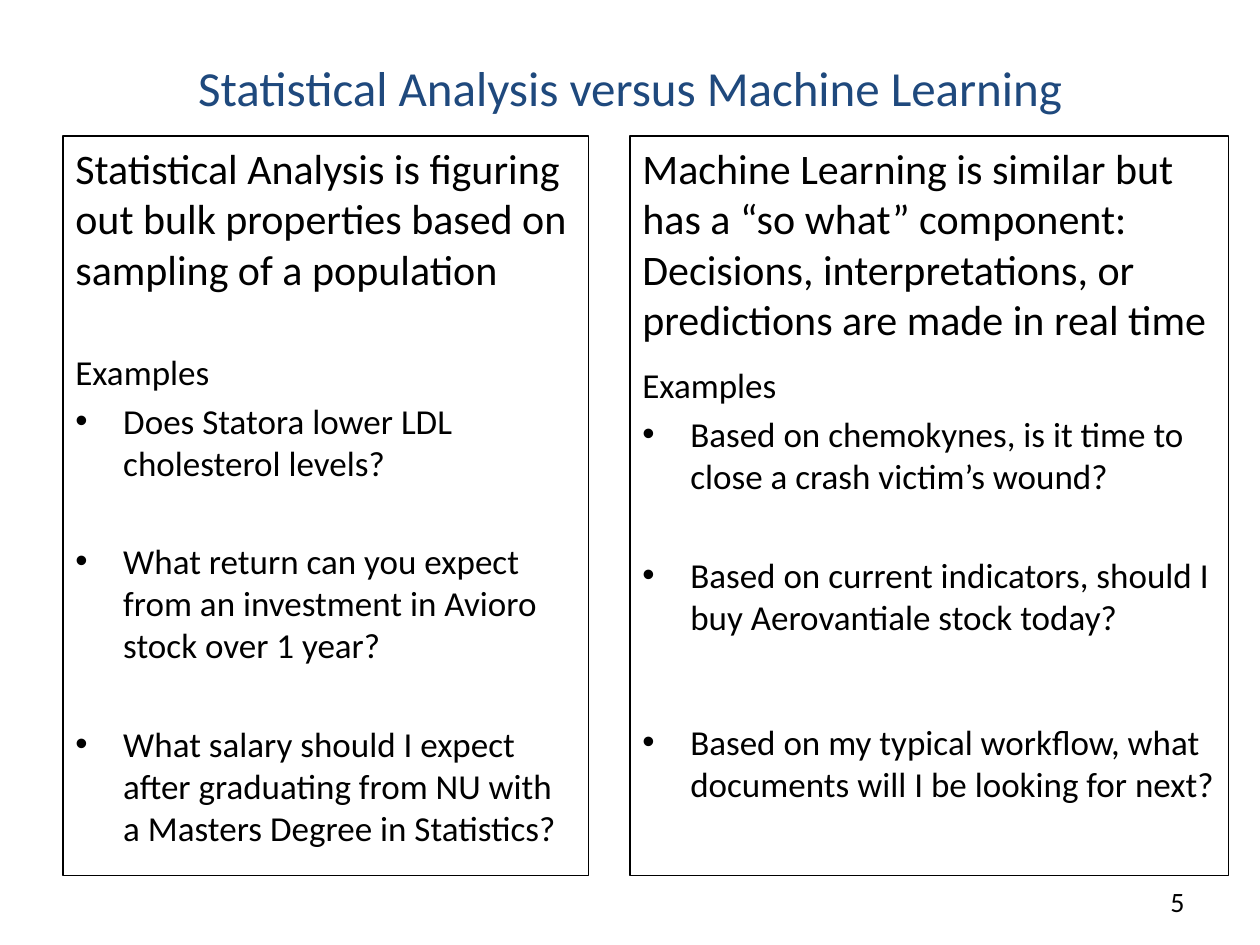
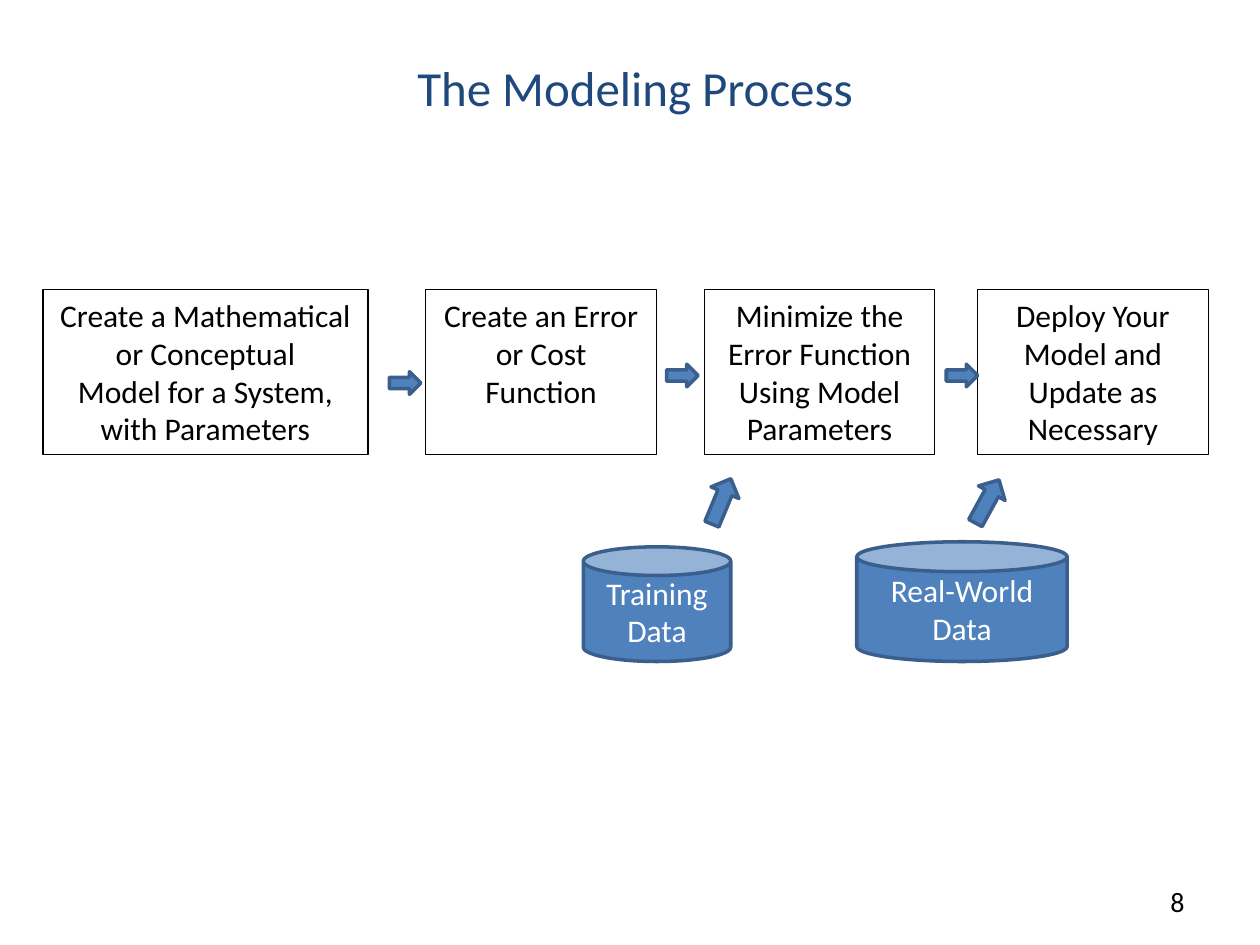
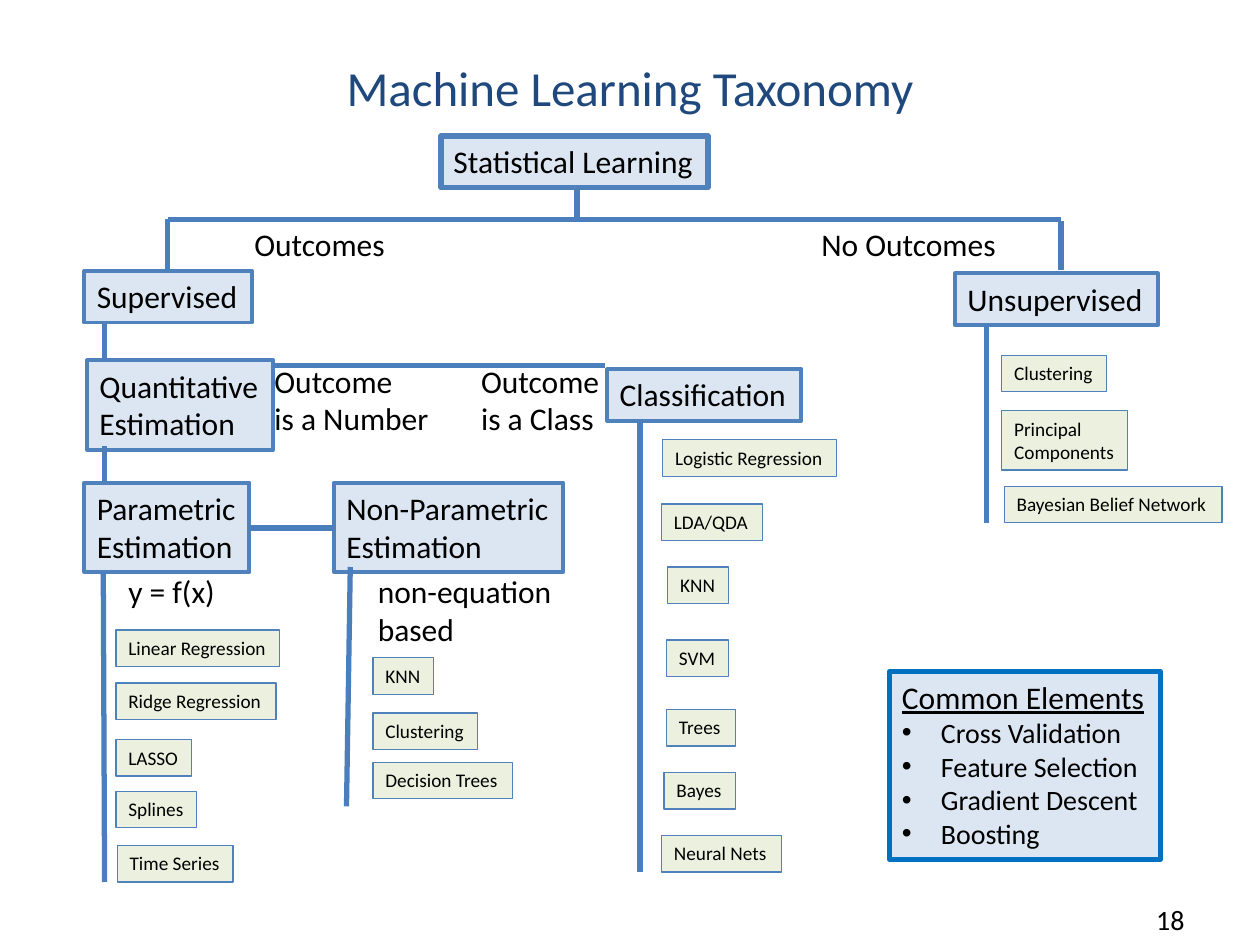
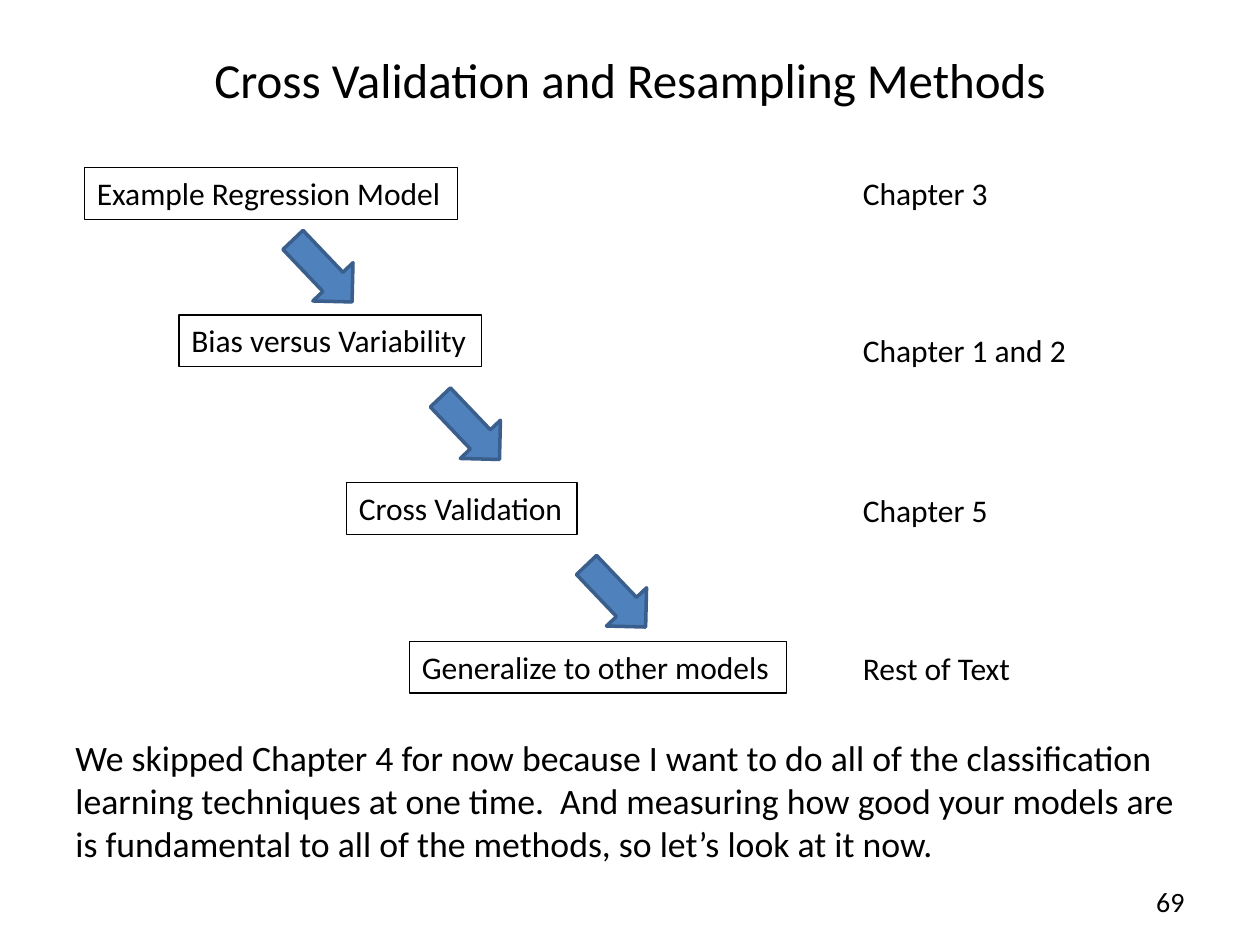
from dataclasses import dataclass

from lxml import etree
from pptx import Presentation
from pptx import util as u
from pptx.dml.color import RGBColor
from pptx.enum import shapes, text
from pptx.oxml.ns import qn

FONT = "Calibri"
BLACK = RGBColor(0x00, 0x00, 0x00)
WHITE = RGBColor(0xFF, 0xFF, 0xFF)
NAVY = RGBColor(0x1F, 0x49, 0x7D)
BLUE = RGBColor(0x4F, 0x81, 0xBD)
DARK_BLUE = RGBColor(0x3A, 0x5F, 0x8C)
BRANCH_BLUE = RGBColor(0x4B, 0x7E, 0xBC)
BRIGHT_BLUE = RGBColor(0x00, 0x70, 0xC0)
PALE_BLUE = RGBColor(0xDC, 0xE6, 0xF2)
PALE_GREEN = RGBColor(0xEB, 0xF1, 0xDE)

COLUMNS, ROWS = 10, 7.5
CELL = u.Inches(1)
LINE_HEIGHT = 1.22

LEFT, CENTER, RIGHT = text.PP_ALIGN.LEFT, text.PP_ALIGN.CENTER, text.PP_ALIGN.RIGHT
TOP, MIDDLE = text.MSO_ANCHOR.TOP, text.MSO_ANCHOR.MIDDLE
KIND = shapes.MSO_SHAPE


@dataclass
class Line:
    """One paragraph: its words, size, space before and hanging bullet."""
    words: str
    size: float = 18
    gap: float = 0
    hang: float = 0
    underline: bool = False


def grid(*cells):
    """Turn grid cells into slide lengths."""
    return [round(cell * CELL) for cell in cells]


def lines_of(words, size=18):
    """Make one paragraph for each row of words."""
    return [Line(row, size) for row in words.split("\n")]


def fitted_height(lines):
    """Return the rows that single-line paragraphs and their margins take."""
    return round(sum(line.size for line in lines) * LINE_HEIGHT / 72 + 0.1, 2)


def hang_bullet(para, hang):
    """Give a paragraph a bullet with a hanging indent."""
    props = para._p.get_or_add_pPr()
    props.set("marL", str(round(hang * CELL)))
    props.set("indent", str(-round(hang * CELL)))
    etree.SubElement(props, qn("a:buFont")).set("typeface", "Arial")
    etree.SubElement(props, qn("a:buChar")).set("char", "•")


def write(box, lines, color=BLACK, align=LEFT, anchor=TOP, fit=False):
    """Fill a box with paragraphs; a fitted box does not wrap."""
    frame = box.text_frame
    frame.word_wrap = not fit
    frame.auto_size = (text.MSO_AUTO_SIZE.SHAPE_TO_FIT_TEXT if fit
                       else text.MSO_AUTO_SIZE.NONE)
    frame.vertical_anchor = anchor
    for index, line in enumerate(lines):
        para = frame.add_paragraph() if index else frame.paragraphs[0]
        para.alignment = align
        para.space_before = u.Pt(line.gap)
        if line.hang:
            hang_bullet(para, line.hang)
        span = para.add_run()
        span.text = line.words
        span.font.name = FONT
        span.font.size = u.Pt(line.size)
        span.font.color.rgb = color
        span.font.underline = line.underline


def add_label(page, place, lines, **style):
    """Add plain text without fill or outline."""
    box = page.shapes.add_textbox(*grid(*place))
    write(box, lines, **style)
    return box


def add_shape(page, kind, place, fill=None, line=BLACK, weight=0.75, turn=0):
    """Add a flat preset shape."""
    shape = page.shapes.add_shape(kind, *grid(*place))
    shape.shadow.inherit = False
    shape.rotation = turn
    if fill is None:
        shape.fill.background()
    else:
        shape.fill.solid()
        shape.fill.fore_color.rgb = fill
    shape.line.color.rgb = line
    shape.line.width = u.Pt(weight)
    return shape


def add_solid(page, kind, place, turn=0):
    """Add a solid blue arrow or cylinder."""
    return add_shape(page, kind, place, BLUE, DARK_BLUE, 2, turn)


def add_panel(page, place, lines, align=LEFT):
    """Add an outlined box of wrapping text."""
    write(add_shape(page, KIND.RECTANGLE, place), lines, align=align)


def add_tag(page, left, top, width, lines, fill=None, line=BLACK, weight=0.75):
    """Add an outlined box as high as its lines."""
    place = left, top, width, fitted_height(lines)
    box = add_shape(page, KIND.RECTANGLE, place, fill, line, weight)
    write(box, lines, fit=True)


def add_note(page, left, top, width, words):
    """Add a fitted label without an outline."""
    lines = lines_of(words)
    add_label(page, (left, top, width, fitted_height(lines)), lines, fit=True)


def add_branch(page, *ends):
    """Add a straight branch of the tree."""
    branch = page.shapes.add_connector(shapes.MSO_CONNECTOR.STRAIGHT, *grid(*ends))
    branch.line.color.rgb = BRANCH_BLUE
    branch.line.width = u.Pt(3)
    etree.SubElement(branch._element.spPr, qn("a:effectLst"))


def add_page(deck, title, number, place=(0.5, 0.3, 9, 0.78), color=NAVY,
             number_top=6.95):
    """Add a blank page with its title and number."""
    page = deck.slides.add_slide(deck.slide_layouts[6])
    add_label(page, place, [Line(title, 28)], color=color, align=CENTER, anchor=MIDDLE)
    add_label(page, (7.17, number_top, 2.33, 0.4), [Line(str(number), 16)],
              align=RIGHT, anchor=MIDDLE)
    return page


def add_comparison(deck):
    """Build the page that compares the two fields."""
    page = add_page(deck, "Statistical Analysis versus Machine Learning", 5)
    panels = [
        (0.5, 4.17, "Statistical Analysis is figuring out bulk properties based on "
         "sampling of a population", 32.4, [
             ("Does Statora lower LDL cholesterol levels?", 4),
             ("What return can you expect from an investment in Avioro stock "
              "over 1 year?", 32.4),
             ("What salary should I expect after graduating from NU with a "
              "Masters Degree in Statistics?", 32.4)]),
        (5, 4.75, "Machine Learning is similar but has a “so what” component: "
         "Decisions, interpretations, or predictions are made in real time", 11.1, [
             ("Based on chemokynes, is it time to close a crash victim’s wound?", 4),
             ("Based on current indicators, should I buy Aerovantiale stock today?",
              32.4),
             ("Based on my typical workflow, what documents will I be looking for "
              "next?", 47.5)]),
    ]
    for left, width, summary, gap, examples in panels:
        lines = [Line(summary, 24), Line("Examples", 20, gap)]
        lines += [Line(words, 20, space, 0.38) for words, space in examples]
        add_panel(page, (left, 1.08, width, 5.87), lines)


def add_process(deck):
    """Build the page with the modeling steps and their data."""
    page = add_page(deck, "The Modeling Process", 8, (0.33, 0.3, 9.42, 0.78))
    steps = [
        (0.34, 2.58, "Create a Mathematical or Conceptual\n"
         "Model for a System, with Parameters"),
        (3.38, 1.83, "Create an Error or Cost Function"),
        (5.59, 1.83, "Minimize the Error Function Using Model Parameters"),
        (7.76, 1.83, "Deploy Your Model and Update as Necessary"),
    ]
    for left, width, words in steps:
        add_panel(page, (left, 2.3, width, 1.31), lines_of(words), CENTER)
    for left, top in [(3.09, 2.95), (5.29, 2.89), (7.51, 2.89)]:
        add_solid(page, KIND.RIGHT_ARROW, (left, top, 0.25, 0.18))
    sources = [
        ("Training Data", (4.63, 4.34, 1.17, 0.91), 5.53, 292.6),
        ("Real-World Data", (6.8, 4.3, 1.67, 0.95), 7.64, 298.7),
    ]
    for words, place, arrow_left, turn in sources:
        store = add_solid(page, KIND.CAN, place)
        write(store, lines_of(words), WHITE, CENTER, MIDDLE)
        add_solid(page, KIND.RIGHT_ARROW, (arrow_left, 3.86, 0.39, 0.24), turn)


def add_taxonomy(deck):
    """Build the tree of learning methods."""
    page = add_page(deck, "Machine Learning Taxonomy", 18, number_top=7.1)
    groups = [
        (3.5, 1.08, 2.12, "Statistical Learning", 3),
        (0.67, 2.15, 1.33, "Supervised", 2.25),
        (7.58, 2.17, 1.61, "Unsupervised", 2.25),
        (0.69, 2.86, 1.48, "Quantitative\nEstimation", 2.25),
        (4.82, 2.93, 1.54, "Classification", 2.25),
        (0.67, 3.83, 1.31, "Parametric\nEstimation", 2.25),
        (2.65, 3.83, 1.82, "Non-Parametric\nEstimation", 2.25),
    ]
    for left, top, width, words, weight in groups:
        add_tag(page, left, top, width, lines_of(words), PALE_BLUE, BLUE, weight)

    branches = [
        (4.58, 1.49, 4.58, 1.74), (8.42, 1.74, 1.33, 1.74),
        (1.33, 1.74, 1.33, 2.14), (8.42, 1.75, 8.42, 2.14),
        (0.83, 2.57, 0.83, 2.86), (4.8, 2.9, 2.17, 2.9),
        (0.83, 3.54, 0.83, 3.82), (2.65, 4.19, 1.98, 4.19),
        (0.82, 4.54, 0.83, 7), (2.78, 4.5, 2.75, 6.4),
        (5.08, 3.33, 5.08, 6.92), (7.83, 2.57, 7.83, 4.15),
    ]
    for ends in branches:
        add_branch(page, *ends)

    notes = [
        (1.92, 1.74, 1.25, "Outcomes"),
        (6.42, 1.74, 1.6, "No Outcomes"),
        (2.08, 2.82, 1.44, "Outcome\nis a Number"),
        (3.72, 2.82, 1.15, "Outcome\nis a Class"),
        (0.92, 4.49, 0.9, "y = f(x)"),
        (2.9, 4.49, 1.6, "non-equation\nbased"),
    ]
    for note in notes:
        add_note(page, *note)

    methods = [
        (0.92, 5, 1.3, "Linear Regression"),
        (0.92, 5.42, 1.27, "Ridge Regression"),
        (0.92, 5.87, 0.6, "LASSO"),
        (0.92, 6.28, 0.64, "Splines"),
        (0.93, 6.71, 0.92, "Time Series"),
        (2.96, 5.22, 0.48, "KNN"),
        (2.96, 5.66, 0.83, "Clustering"),
        (2.96, 6.05, 1.11, "Decision Trees"),
        (5.26, 3.49, 1.38, "Logistic Regression"),
        (5.25, 4, 0.8, "LDA/QDA"),
        (5.3, 4.5, 0.48, "KNN"),
        (5.29, 5.08, 0.49, "SVM"),
        (5.29, 5.63, 0.55, "Trees"),
        (5.27, 6.13, 0.57, "Bayes"),
        (5.25, 6.63, 0.95, "Neural Nets"),
        (7.95, 2.82, 0.83, "Clustering"),
        (7.95, 3.26, 1, "Principal\nComponents"),
        (7.97, 3.86, 1.73, "Bayesian Belief Network"),
    ]
    for left, top, width, words in methods:
        add_tag(page, left, top, width, lines_of(words, 11), PALE_GREEN, BLUE)

    elements = ["Cross Validation", "Feature Selection", "Gradient Descent", "Boosting"]
    common = [Line("Common Elements", underline=True)]
    common += [Line(words, 16, hang=0.31) for words in elements]
    add_tag(page, 7.06, 5.33, 2.15, common, PALE_BLUE, BRIGHT_BLUE, 3)


def add_resampling(deck):
    """Build the page with the descending topics and their chapters."""
    page = add_page(deck, "Cross Validation and Resampling Methods", 69,
                    (0.5, 0, 9, 1.25), BLACK)
    topics = [
        (0.67, 1.33, 2.96, "Example Regression Model"),
        (1.42, 2.5, 2.4, "Bias versus Variability"),
        (2.75, 3.83, 1.83, "Cross Validation"),
        (3.25, 5.09, 2.99, "Generalize to other models"),
    ]
    for left, top, width, words in topics:
        add_tag(page, left, top, width, lines_of(words))
    for left, top in [(2.34, 1.81), (3.51, 3.06), (4.67, 4.39)]:
        add_solid(page, KIND.DOWN_ARROW, (left, top, 0.44, 0.68), 316.4)
    chapters = [(1.33, 1.2, "Chapter 3"), (2.58, 1.84, "Chapter 1 and 2"),
                (3.85, 1.2, "Chapter 5"), (5.1, 1.38, "Rest of Text")]
    for top, width, words in chapters:
        add_note(page, 6.75, top, width, words)
    remark = ("We skipped Chapter 4 for now because I want to do all of the "
              "classification learning techniques at one time.  And measuring how "
              "good your models are is fundamental to all of the methods, so let’s "
              "look at it now.")
    box = add_label(page, (0.5, 5.39, 9.08, 1.56), [Line(remark, 20.4)])
    box.text_frame.margin_top = grid(0.45)[0]


def main():
    """Build and save the deck."""
    deck = Presentation()
    deck.slide_width, deck.slide_height = grid(COLUMNS, ROWS)
    add_comparison(deck)
    add_process(deck)
    add_taxonomy(deck)
    add_resampling(deck)
    deck.save("out.pptx")


if __name__ == "__main__":
    main()
